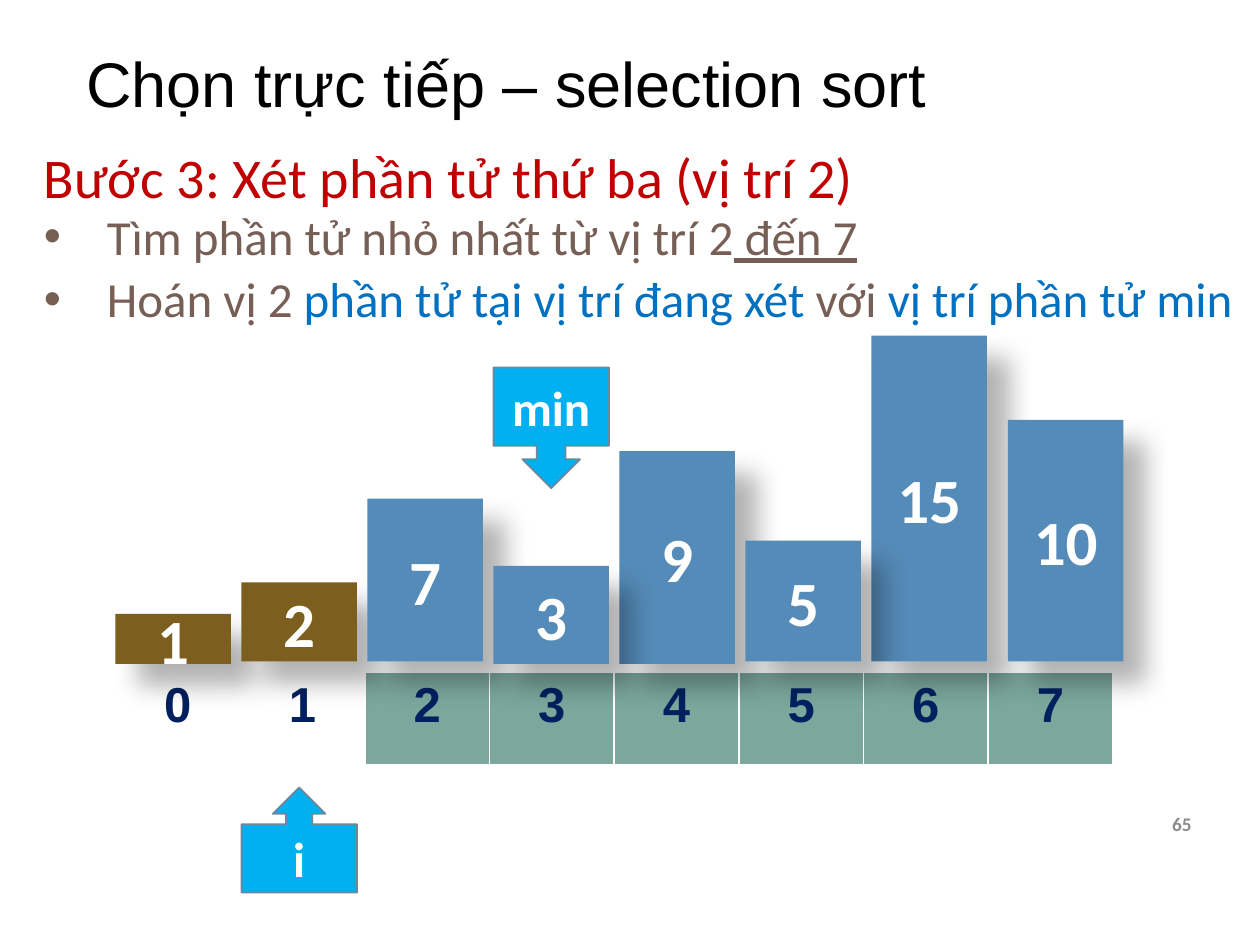
from dataclasses import dataclass

from lxml.etree import SubElement
from pptx import Presentation
from pptx.dml.color import RGBColor
from pptx.enum.shapes import MSO_SHAPE as Shape
from pptx.enum.text import MSO_ANCHOR as Anchor, PP_ALIGN as Align
from pptx.oxml.ns import qn
from pptx.util import Pt


@dataclass(frozen=True)
class Theme:
    body_font: str = "Calibri"
    title_font: str = "Arial"
    black: str = "000000"
    white: str = "FFFFFF"
    heading: str = "C00000"
    text: str = "775F55"
    accent: str = "0070C0"
    page_number: str = "8C8C8C"
    index: str = "002060"
    cell: str = "7BA79D"
    unsorted: str = "558BB8"
    sorted: str = "7C5F1E"
    callout: str = "00B0F0"
    outline: str = "6D879B"
    large: int = 36
    medium: int = 32
    regular: int = 28
    small: int = 11


class SlideBuilder:
    def __init__(self, deck, theme):
        self.theme = theme
        self.slide = deck.slides.add_slide(deck.slide_layouts[5])

    def add_span(self, para, words, **style):
        span = para.add_run()
        span.text = words
        values = {"name": self.theme.body_font, "size": self.theme.regular, **style}
        color = values.pop("color")
        values["size"] = Pt(values["size"])
        for name, value in values.items():
            setattr(span.font, name, value)
        span.font.color.rgb = RGBColor.from_string(color)

    def title(self, words, place):
        box = self.slide.shapes.title
        box.left, box.top, box.width, box.height = map(Pt, place)
        box.text_frame.vertical_anchor = Anchor.MIDDLE
        para = box.text_frame.paragraphs[0]
        para.alignment, para.line_spacing = Align.LEFT, 0.9
        self.add_span(para, words, name=self.theme.title_font,
                      size=self.theme.large, color=self.theme.black)

    def text(self, spans, place, bullet=False, anchor=Anchor.TOP, align=Align.LEFT):
        frame = self.slide.shapes.add_textbox(*map(Pt, place)).text_frame
        frame.word_wrap, frame.vertical_anchor = True, anchor
        para = frame.paragraphs[0]
        para.alignment = align
        if bullet:
            props = para._p.get_or_add_pPr()
            props.set("marL", str(Pt(36)))
            props.set("indent", str(-Pt(36)))
            SubElement(props, qn("a:buFont"), typeface="Arial")
            SubElement(props, qn("a:buChar"), char="•")
        for words, style in spans:
            self.add_span(para, words, **style)

    def block(self, kind, words, place, fill, size):
        box = self.slide.shapes.add_shape(kind, *map(Pt, place))
        box.shadow.inherit = False
        box.fill.solid()
        box.fill.fore_color.rgb = RGBColor.from_string(fill)
        box.line.fill.background()
        frame = box.text_frame
        frame.word_wrap, frame.vertical_anchor = True, Anchor.MIDDLE
        para = frame.paragraphs[0]
        para.alignment = Align.CENTER
        self.add_span(para, words, size=size, bold=True, color=self.theme.white)
        return box

    def bar(self, value, left, top, bottom, fill):
        box = self.block(Shape.RECTANGLE, str(value), (left, top, 66, bottom - top),
                         fill, self.theme.large)
        # Soft shadow towards the lower right
        effects = box._element.spPr.find(qn("a:effectLst"))
        shadow = SubElement(effects, qn("a:outerShdw"), blurRad=str(Pt(15)),
                            dist=str(Pt(18)), dir=str(45 * 60000),
                            algn="tl", rotWithShape="0")
        color = SubElement(shadow, qn("a:srgbClr"), val=self.theme.black)
        SubElement(color, qn("a:alpha"), val="30000")

    def callout(self, kind, words, place):
        box = self.block(kind, words, place, self.theme.callout, self.theme.regular)
        box.line.color.rgb = RGBColor.from_string(self.theme.outline)
        box.line.width = Pt(1)

    def index_table(self, count, first_filled, place):
        table = self.slide.shapes.add_table(1, count, *map(Pt, place)).table
        for index, cell in enumerate(table.rows[0].cells):
            para = cell.text_frame.paragraphs[0]
            para.alignment = Align.CENTER
            self.add_span(para, str(index), name=self.theme.title_font,
                          bold=True, color=self.theme.index)
            # Borders go before the fill in the cell properties
            props = cell._tc.get_or_add_tcPr()
            for side, width in {"L": 1, "R": 1, "T": 1, "B": 3}.items():
                line = SubElement(props, qn(f"a:ln{side}"), w=str(Pt(width)))
                paint = SubElement(line, qn("a:solidFill"))
                SubElement(paint, qn("a:srgbClr"), val=self.theme.white)
            if index < first_filled:
                cell.fill.background()
            else:
                cell.fill.solid()
                cell.fill.fore_color.rgb = RGBColor.from_string(self.theme.cell)


def main():
    deck = Presentation()
    deck.slide_width, deck.slide_height = Pt(720), Pt(540)
    theme = Theme()
    page = SlideBuilder(deck, theme)
    plain, accent = {"color": theme.text}, {"color": theme.accent}

    # Title, array indices and page number
    page.title("Chọn trực tiếp – selection sort", (42, 16, 636, 68))
    page.index_table(8, 2, (66, 384, 570, 54))
    page.text([("65", {"size": theme.small, "bold": True, "color": theme.page_number})],
              (640, 450, 48, 41), anchor=Anchor.MIDDLE, align=Align.RIGHT)

    # Step description
    page.text([("Bước 3: Xét phần tử thứ ba (vị trí 2)",
                {"size": theme.medium, "color": theme.heading})], (18, 78, 534, 46))
    page.text([("Tìm phần tử nhỏ nhất từ vị trí 2", plain),
               (" đến 7", {**plain, "underline": True})],
              (18, 114.5, 534, 41), bullet=True)
    page.text([("Hoán vị 2 ", plain), ("phần tử tại vị trí đang xét ", accent),
               ("với ", plain), ("vị trí phần tử min", accent)],
              (18, 150, 702, 41), bullet=True)

    # Bars from back to front: value, left, top, bottom
    bars = [(9, 354, 257.8, 379.4), (15, 498, 191.8, 378), (10, 576, 240, 378),
            (1, 66, 350.8, 379.4), (5, 426, 309, 378), (2, 138, 332.8, 378),
            (7, 210, 285, 378), (3, 282, 323.3, 379.4)]
    for value, left, top, bottom in bars:
        fill = theme.sorted if value in (1, 2) else theme.unsorted
        page.bar(value, left, top, bottom, fill)

    # Position markers
    page.callout(Shape.UP_ARROW_CALLOUT, "i", (138, 450, 66, 60))
    page.callout(Shape.DOWN_ARROW_CALLOUT, "min", (282, 210, 66, 69))

    deck.save("out.pptx")


if __name__ == "__main__":
    main()
